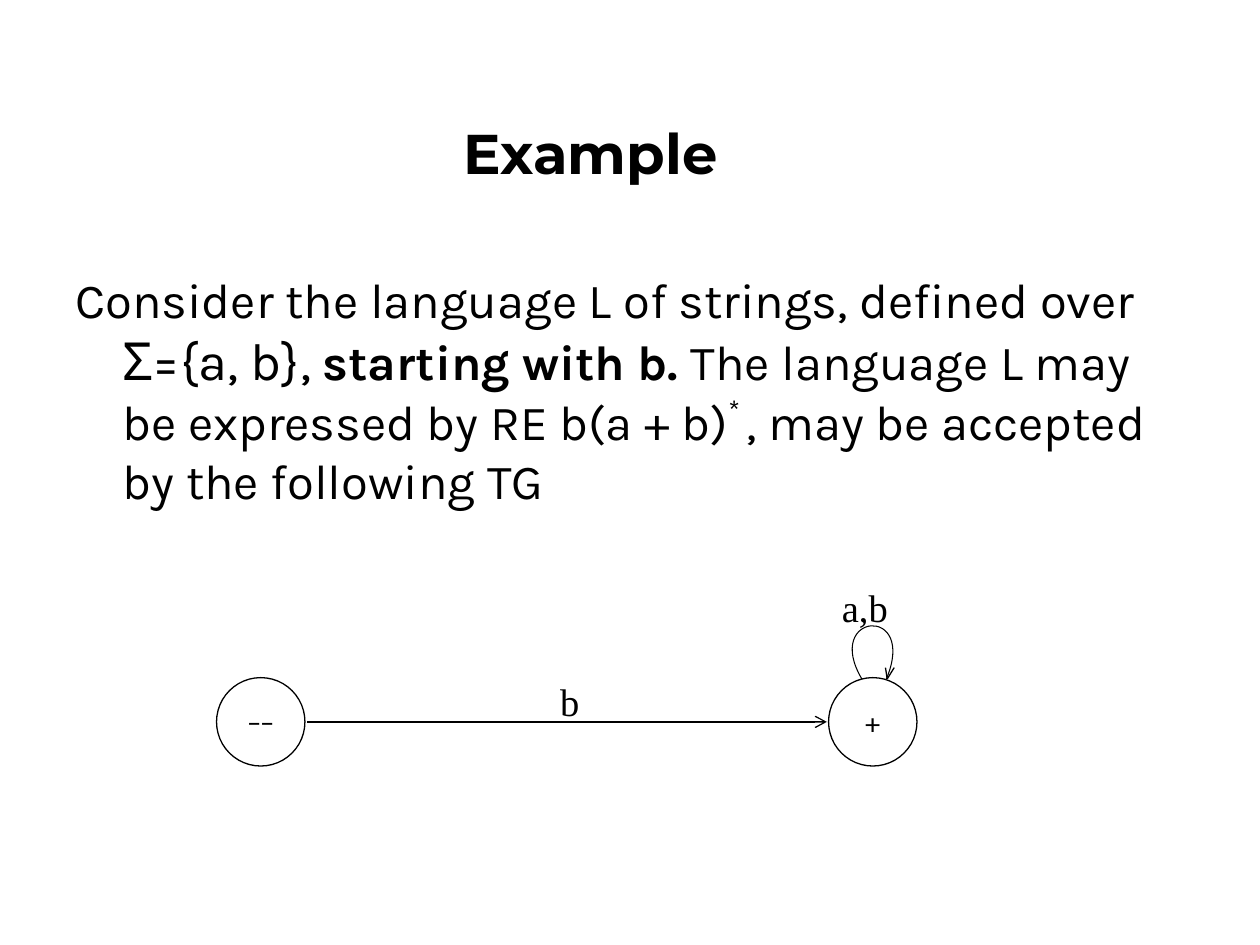
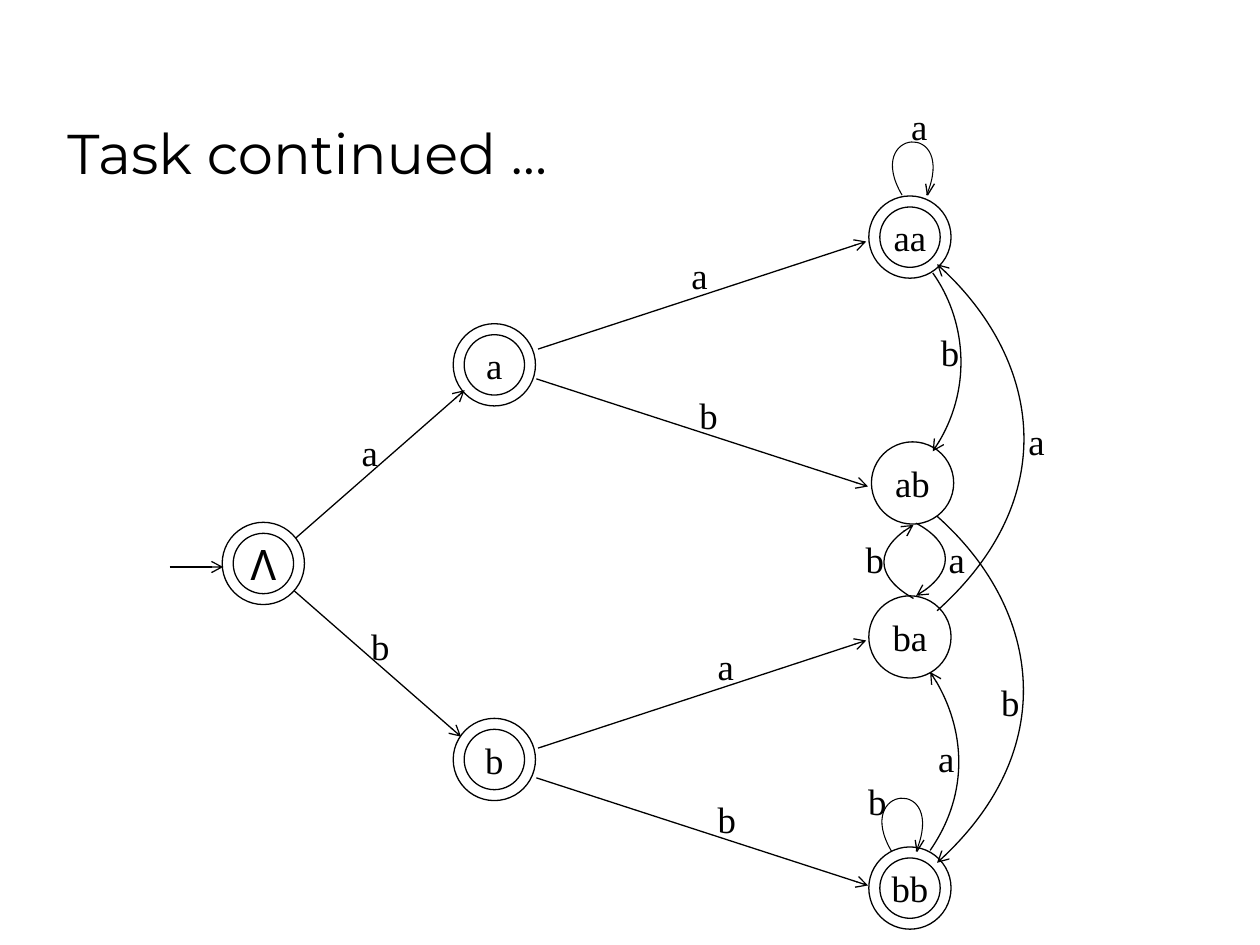
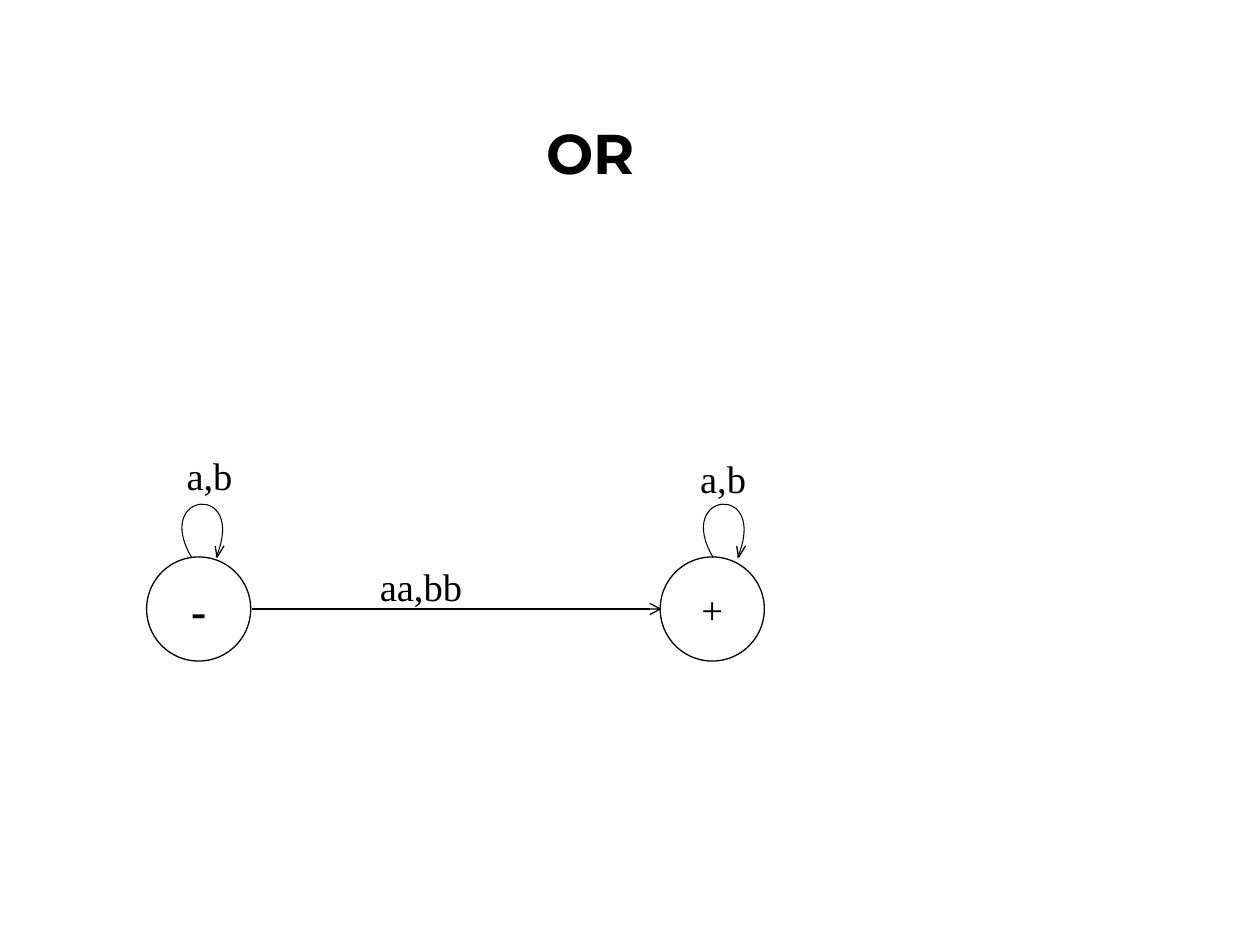
from lxml import etree
from pptx import Presentation
from pptx.dml.color import RGBColor
from pptx.enum.shapes import MSO_CONNECTOR, MSO_SHAPE
from pptx.enum.text import MSO_ANCHOR, PP_ALIGN
from pptx.oxml.ns import qn
from pptx.util import Pt

BLACK = RGBColor(0x00, 0x00, 0x00)
WHITE = RGBColor(0xFF, 0xFF, 0xFF)
STRAIGHT = MSO_CONNECTOR.STRAIGHT
ELLIPSE = MSO_SHAPE.OVAL
BOTTOM, MIDDLE = MSO_ANCHOR.BOTTOM, MSO_ANCHOR.MIDDLE
LEFT, CENTER = PP_ALIGN.LEFT, PP_ALIGN.CENTER
TITLE_FONT, BODY_FONT, GRAPH_FONT = "Montserrat", "Karla", "Times New Roman"


class GraphDeck:
    """Holds the shared style and the current slide of a transition graph deck."""

    def __init__(self):
        self.deck = Presentation()
        self.deck.slide_width, self.deck.slide_height = Pt(720), Pt(540)
        self.shapes = None
        self.label_size = 22

    def page(self, title, bold=True, align=CENTER):
        self.shapes = self.deck.slides.add_slide(self.deck.slide_layouts[6]).shapes
        box = self.box(31.5, 19.5, 612, 90)
        box.text_frame.vertical_anchor = BOTTOM
        self.set_text(box, title, TITLE_FONT, 32, bold, align)

    def box(self, left, top, width, height):
        box = self.shapes.add_textbox(Pt(left), Pt(top), Pt(width), Pt(height))
        box.text_frame.word_wrap = True
        return box

    def set_text(self, box, text, font, size, bold=False, align=LEFT):
        para = box.text_frame.paragraphs[0]
        para.text = text
        para.alignment = align
        para.font.name, para.font.size, para.font.bold = font, Pt(size), bold
        para.font.color.rgb = BLACK
        return para

    def body(self, spans, left, top, width, height, hanging):
        box = self.box(left, top, width, height)
        para = self.set_text(box, "", BODY_FONT, 28)
        properties = para._p.get_or_add_pPr()
        properties.set("marL", str(Pt(hanging)))
        properties.set("indent", str(-Pt(hanging)))
        for text, size, bold, baseline in spans:
            span = para.add_run()
            span.text = text
            span.font.size, span.font.bold = Pt(size), bold
            if baseline:
                span._r.get_or_add_rPr().set("baseline", str(baseline * 1000))

    def label(self, text, left, top):
        self.set_text(self.box(left, top, 70.5, 49), text, GRAPH_FONT, self.label_size)

    def circle(self, x, y, diameter):
        radius = diameter / 2
        circle = self.shapes.add_shape(
            ELLIPSE, Pt(x - radius), Pt(y - radius), Pt(diameter), Pt(diameter))
        circle.shadow.inherit = False
        circle.fill.solid()
        circle.fill.fore_color.rgb = WHITE
        self.stroke(circle)
        return circle

    def state(self, text, x, y, diameter, inner=None, font=GRAPH_FONT, size=None, bold=False):
        circle = self.circle(x, y, diameter)
        if inner:
            circle = self.circle(x, y, inner)
        frame = circle.text_frame
        frame.margin_left = frame.margin_right = frame.margin_top = frame.margin_bottom = 0
        frame.word_wrap = False
        frame.vertical_anchor = MIDDLE
        self.set_text(circle, text, font, size or self.label_size, bold, CENTER)

    def stroke(self, shape, width=0.75, arrow=False):
        shape.line.color.rgb = BLACK
        shape.line.width = Pt(width)
        if arrow:
            outline = shape.element.xpath(".//a:ln")[0]
            etree.SubElement(outline, qn("a:tailEnd")).set("type", "arrow")

    def line(self, start, end, arrow=True):
        line = self.shapes.add_connector(STRAIGHT, *map(Pt, (*start, *end)))
        self.stroke(line, arrow=arrow)
        etree.SubElement(line.element.xpath("./p:spPr")[0], qn("a:effectLst"))

    def curve(self, points, width=0.75, arrow=True):
        start, *others = [(Pt(x), Pt(y)) for x, y in points]
        builder = self.shapes.build_freeform(*start)
        builder.add_line_segments(others, close=False)
        curve = builder.convert_to_shape()
        bezier, *segments = curve.element.xpath(".//a:lnTo")
        bezier.tag = qn("a:cubicBezTo")
        for segment in segments:
            bezier.append(segment[0])
            segment.getparent().remove(segment)
        curve.shadow.inherit = False
        curve.fill.background()
        self.stroke(curve, width, arrow)

    def loop(self, x, y):
        offsets = ((0, 0), (-22.5, -38), (32, -43), (14, 0))
        self.curve([(x + dx, y + dy) for dx, dy in offsets], 0.6, arrow=False)
        tip = (x + 14.5, y)
        for dx, dy in ((4, -6.5), (-1, -6.5)):
            self.line(tip, (tip[0] + dx, tip[1] + dy), arrow=False)


def example(deck):
    deck.page("Example")
    deck.body((
        ("Consider the language L of strings, defined over ", 28, False, 0),
        ("Σ={a, b},", 30, False, 0),
        (" ", 28, False, 0),
        ("starting with b. ", 28, True, 0),
        ("The language L may be expressed by RE b(a + b)", 28, False, 0),
        ("* ", 28, False, 40),
        (", may be accepted by the following TG", 28, False, 0),
    ), 36, 150.5, 643.5, 151, hanging=27)
    deck.line((175.5, 412.5), (472.5, 412.5))
    deck.label("b", 313, 384)
    for text, x in (("––", 149), ("+", 498.75)):
        deck.state(text, x, 412.5, 50.5, font=BODY_FONT, size=16)
    deck.loop(492.5, 388)
    deck.label("a,b", 474, 330)


def task(deck):
    deck.page("Task continued …", bold=False, align=LEFT)
    deck.label_size = 21
    outer, inner = 47, 34.5
    deck.state("Λ", 150.5, 322, outer, inner, BODY_FONT, 24)
    for text, x, y in (("a", 282.5, 208.5), ("b", 282.5, 434),
                       ("aa", 520, 135.5), ("bb", 520, 507.5)):
        deck.state(text, x, y, outer, inner)
    for text, x, y in (("ab", 521.5, 276), ("ba", 520, 364)):
        deck.state(text, x, y, outer)

    deck.line((97, 324), (127.5, 324))
    deck.line((169, 307.5), (265.5, 223))
    deck.line((168, 337.5), (263.5, 421))
    for drop in (0, 228):
        deck.line((307.5, 199.5 + drop), (495, 138 + drop))
        deck.line((306.5, 216.5 + drop), (496, 278 + drop))
    for points in (
        ((533, 156), (551.5, 182), (556.5, 224.5), (533, 258)),
        ((531.5, 486), (555, 452), (550, 410.5), (531.5, 384)),
        ((535.5, 295), (593.5, 346.5), (607.5, 428.5), (535.5, 493)),
        ((535.5, 349), (607.5, 284.5), (593.5, 202.5), (535.5, 151)),
        ((523.5, 299), (543, 309.5), (547, 327), (523.5, 340.5)),
        ((522, 342), (502.5, 331), (498, 314), (522, 300)),
    ):
        deck.curve(points)
    deck.loop(515.5, 111.5)
    deck.loop(509.5, 486.5)

    labels = {
        "a": ((199.5, 242), (388, 141), (403, 364.5), (513.5, 55.5),
              (580.5, 235.5), (529, 417), (535, 303)),
        "b": ((205, 353), (392.5, 221), (403, 451.5), (489, 441.5),
              (530.5, 185), (565, 385), (487.5, 303)),
    }
    for text, places in labels.items():
        for place in places:
            deck.label(text, *place)


def alternative(deck):
    deck.page("OR")
    deck.label_size = 22
    deck.state("-", 113.5, 348, 59.5, size=26, bold=True)
    deck.state("+", 407, 348, 59.5)
    deck.line((144, 348), (378, 348))
    deck.label("aa,bb", 210, 318)
    deck.label("a,b", 99.5, 255)
    deck.label("a,b", 393, 256.5)
    for x in (109.5, 407.5):
        deck.loop(x, 318.5)


def main():
    graphs = GraphDeck()
    example(graphs)
    task(graphs)
    alternative(graphs)
    graphs.deck.save("out.pptx")


if __name__ == "__main__":
    main()
